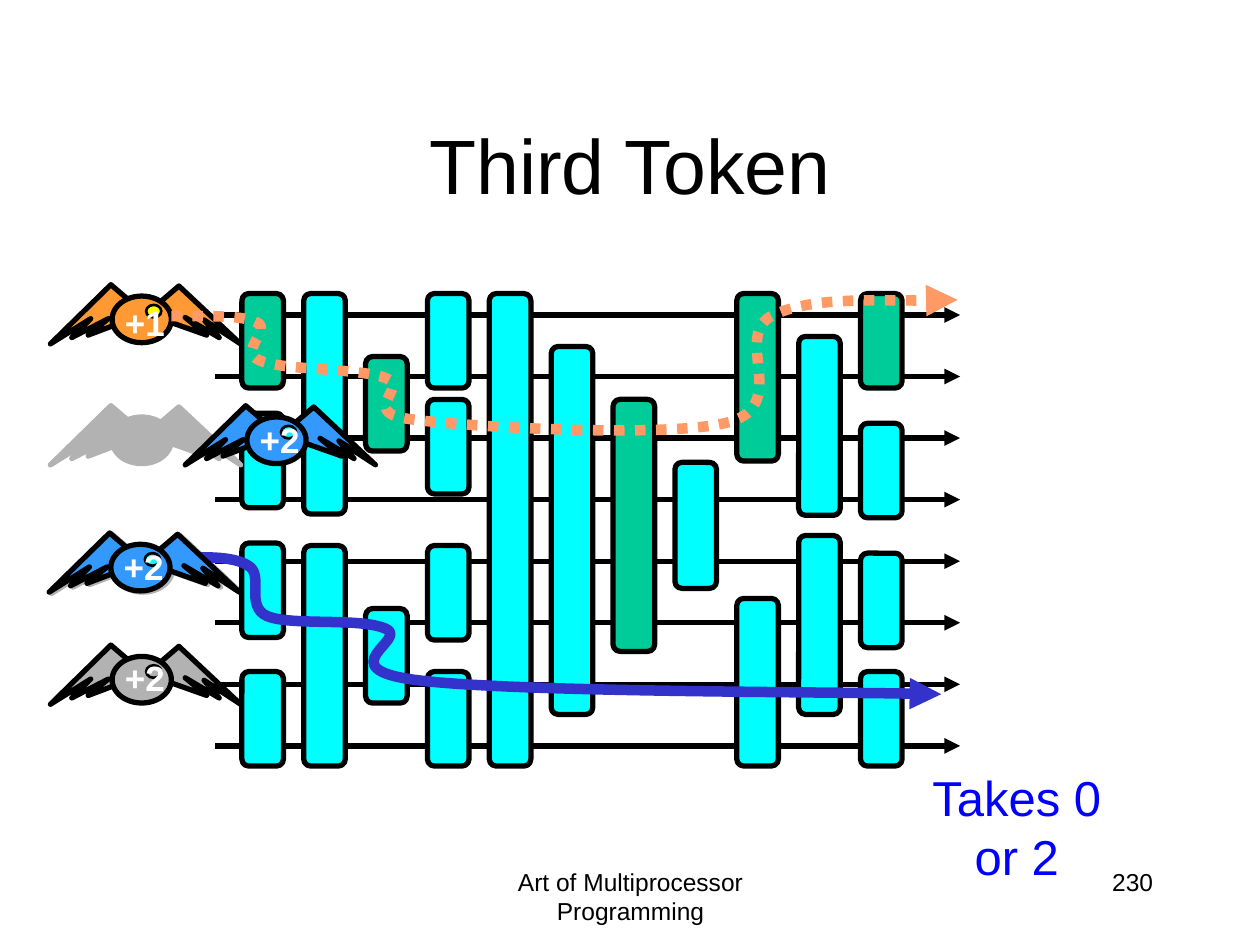
from lxml.etree import SubElement
from pptx import Presentation
from pptx.dml.color import RGBColor
from pptx.enum.dml import MSO_LINE as Dash
from pptx.enum.shapes import MSO_CONNECTOR as Link, MSO_SHAPE as Kind
from pptx.enum.text import MSO_ANCHOR as Anchor, PP_ALIGN as Align
from pptx.oxml.ns import qn
from pptx.util import Inches, Pt

BLACK = RGBColor(0x00, 0x00, 0x00)
WHITE = RGBColor(0xFF, 0xFF, 0xFF)
GRAY = RGBColor(0xB2, 0xB2, 0xB2)
CYAN = RGBColor(0x00, 0xFF, 0xFF)
GREEN = RGBColor(0x00, 0xCC, 0x99)
ORANGE = RGBColor(0xFF, 0x99, 0x33)
YELLOW = RGBColor(0xFF, 0xFF, 0x00)
SKY = RGBColor(0x33, 0x99, 0xFF)
PEACH = RGBColor(0xFF, 0x99, 0x66)
INDIGO = RGBColor(0x33, 0x33, 0xCC)
BLUE = RGBColor(0x00, 0x00, 0xFF)

# Wing outlines, measured from the token's top left corner
WINGS = [
    [(0.81, 0.19), (1.02, 0.01), (1.51, 0.47), (1.22, 0.28),
     (1.34, 0.42), (1.07, 0.26), (1.24, 0.4), (0.76, 0.23)],
    [(0.69, 0.18), (0.48, 0), (0, 0.47), (0.32, 0.27),
     (0.17, 0.42), (0.46, 0.27), (0.3, 0.4), (0.75, 0.23)],
]

# Balancers in each column: top below the net's top, height, colour
COLUMNS = [
    [(0, 0.75, GREEN), (0.95, 0.75, CYAN), (1.98, 0.75, CYAN), (3, 0.75, CYAN)],
    [(0, 1.75, CYAN), (2, 1.75, CYAN)],
    [(0.5, 0.75, GREEN), (2.5, 0.75, CYAN)],
    [(0, 0.75, CYAN), (0.84, 0.75, CYAN), (2, 0.75, CYAN), (3, 0.75, CYAN)],
    [(0, 3.75, CYAN)],
    [(0.42, 2.92, CYAN)],
    [(0.84, 2, GREEN)],
    [(1.34, 1, CYAN)],
    [(0, 1.33, GREEN), (2.42, 1.33, CYAN)],
    [(0.34, 1.42, CYAN), (1.92, 1.42, CYAN)],
    [(0, 0.75, GREEN), (1.03, 0.75, CYAN), (2.06, 0.75, CYAN), (3, 0.75, CYAN)],
]

# Curves: start point, then control, control and end of each piece
FIRST = [
    (0, 0.16), (0.28, 0.16), (0.57, 0.15), (0.68, 0.21),
    (0.8, 0.26), (0.53, 0.44), (0.7, 0.51),
    (0.86, 0.59), (1.49, 0.57), (1.7, 0.65),
    (1.9, 0.73), (1.46, 0.93), (1.92, 0.98),
    (2.37, 1.04), (3.96, 1.13), (4.43, 1),
    (4.91, 0.86), (4.46, 0.33), (4.76, 0.16),
    (5.07, 0), (5.93, 0.05), (6.24, 0.03),
]
THIRD = [
    (0, 0.02), (0.24, 0.01), (0.49, 0), (0.61, 0.08),
    (0.74, 0.15), (0.58, 0.4), (0.76, 0.48),
    (0.95, 0.56), (1.5, 0.49), (1.7, 0.58),
    (1.9, 0.66), (1.22, 0.9), (1.96, 0.99),
    (2.7, 1.08), (5.25, 1.08), (6.11, 1.1),
]


def style(shape, fill, edge=BLACK, width=3):
    shape.shadow.inherit = False
    shape.fill.solid()
    shape.fill.fore_color.rgb = fill
    shape.line.color.rgb = edge
    shape.line.width = Pt(width)


def add_box(parent, kind, x, y, w, h):
    return parent.shapes.add_shape(kind, Inches(x), Inches(y), Inches(w), Inches(h))


def add_text(parent, x, y, w, h, text, size, color=BLACK, align=Align.CENTER,
             anchor=Anchor.TOP, bold=False, wrap=True):
    box = parent.shapes.add_textbox(Inches(x), Inches(y), Inches(w), Inches(h))
    frame = box.text_frame
    frame.word_wrap = wrap
    frame.vertical_anchor = anchor
    para = frame.paragraphs[0]
    para.alignment = align
    run = para.add_run()
    run.text = text
    font = run.font
    font.name, font.size, font.bold = "Arial", Pt(size), bold
    font.color.rgb = color


def add_path(parent, x, y, points, close):
    spots = [(Inches(x + dx), Inches(y + dy)) for dx, dy in points]
    draft = parent.shapes.build_freeform(*spots[0], scale=1.0)
    draft.add_line_segments(spots[1:], close=close)
    return draft.convert_to_shape()


def add_head(line):
    SubElement(line.line._get_or_add_ln(), qn("a:tailEnd"), type="triangle")


def add_token(slide, x, y, fill, eye, edge=BLACK, text=None, drop=0.05):
    """Winged token, with its label if it has one."""
    group = slide.shapes.add_group_shape()
    for wing in WINGS:
        style(add_path(group, x, y, wing, True), fill, edge)
    style(add_box(group, Kind.OVAL, x + 0.49, y + 0.09, 0.47, 0.37), fill, edge)
    style(add_box(group, Kind.OVAL, x + 0.76, y + 0.16, 0.12, 0.1), eye, edge, 1.5)
    if text:
        add_text(group, x + 0.48, y + drop, 0.54, 0.43, text, 20, WHITE,
                 bold=True, wrap=False)


def add_net(slide, x, y, w):
    """Eight wires, crossed by eleven columns of balancers."""
    group = slide.shapes.add_group_shape()
    for row in range(8):
        level = Inches(y + 0.17 + row * 3.42 / 7)
        wire = group.shapes.add_connector(
            Link.STRAIGHT, Inches(x), level, Inches(x + w), level)
        wire.line.color.rgb = BLACK
        wire.line.width = Pt(3)
        add_head(wire)
        SubElement(wire._element.spPr, qn("a:effectLst"))
    for col, stack in enumerate(COLUMNS):
        left = x + 0.21 + col * 4.91 / 10
        for top, height, color in stack:
            bar = add_box(group, Kind.ROUNDED_RECTANGLE, left, y + top, 0.33, height)
            bar.adjustments[0] = 0.167
            style(bar, color)


def add_trace(slide, x, y, points, color, dash=None):
    """Curved route of a token, ending in an arrowhead."""
    curve = add_path(slide, x, y, points, False)
    curve.shadow.inherit = False
    curve.fill.background()
    curve.line.color.rgb = color
    curve.line.width = Pt(6)
    if dash:
        curve.line.dash_style = dash
    add_head(curve)
    # Turn each three straight steps into one Bezier piece
    route = next(curve._element.iter(qn("a:path")))
    steps = route.findall(qn("a:lnTo"))
    for i in range(0, len(steps), 3):
        piece = SubElement(route, qn("a:cubicBezTo"))
        for step in steps[i:i + 3]:
            piece.append(step[0])
            route.remove(step)


def main():
    deck = Presentation()
    deck.slide_width, deck.slide_height = Inches(10), Inches(7.5)
    slide = deck.slides.add_slide(deck.slide_layouts[6])

    # Footer and title
    add_text(slide, 3.42, 6.83, 3.17, 0.5, "Art of Multiprocessor Programming", 14)
    add_text(slide, 7.17, 6.83, 2.08, 0.5, "230", 14, align=Align.RIGHT)
    add_token(slide, 0.41, 4.24, GRAY, GRAY, GRAY)
    add_text(slide, 0.75, 0.67, 8.5, 1.25, "Third Token", 44, anchor=Anchor.MIDDLE)

    # Network, waiting tokens and routes
    add_net(slide, 1.71, 2.33, 5.91)
    add_token(slide, 0.4, 5.12, GRAY, GRAY, text="+2", drop=0.04)
    add_token(slide, 0.4, 2.26, ORANGE, YELLOW, text="+1", drop=0.08)
    add_trace(slide, 1.36, 2.35, FIRST, PEACH, Dash.ROUND_DOT)
    add_trace(slide, 1.36, 4.41, THIRD, INDIGO)
    add_text(slide, 7.12, 6.04, 1.9, 1.03, "Takes 0 or 2", 28, BLUE)

    # Second token, moved off its ghost, and third token
    add_token(slide, 0.4, 3.22, GRAY, GRAY, GRAY)
    add_token(slide, 1.47, 3.22, SKY, CYAN, text="+2")
    add_token(slide, 0.39, 4.23, SKY, CYAN, text="+2")

    deck.save("out.pptx")


if __name__ == "__main__":
    main()
